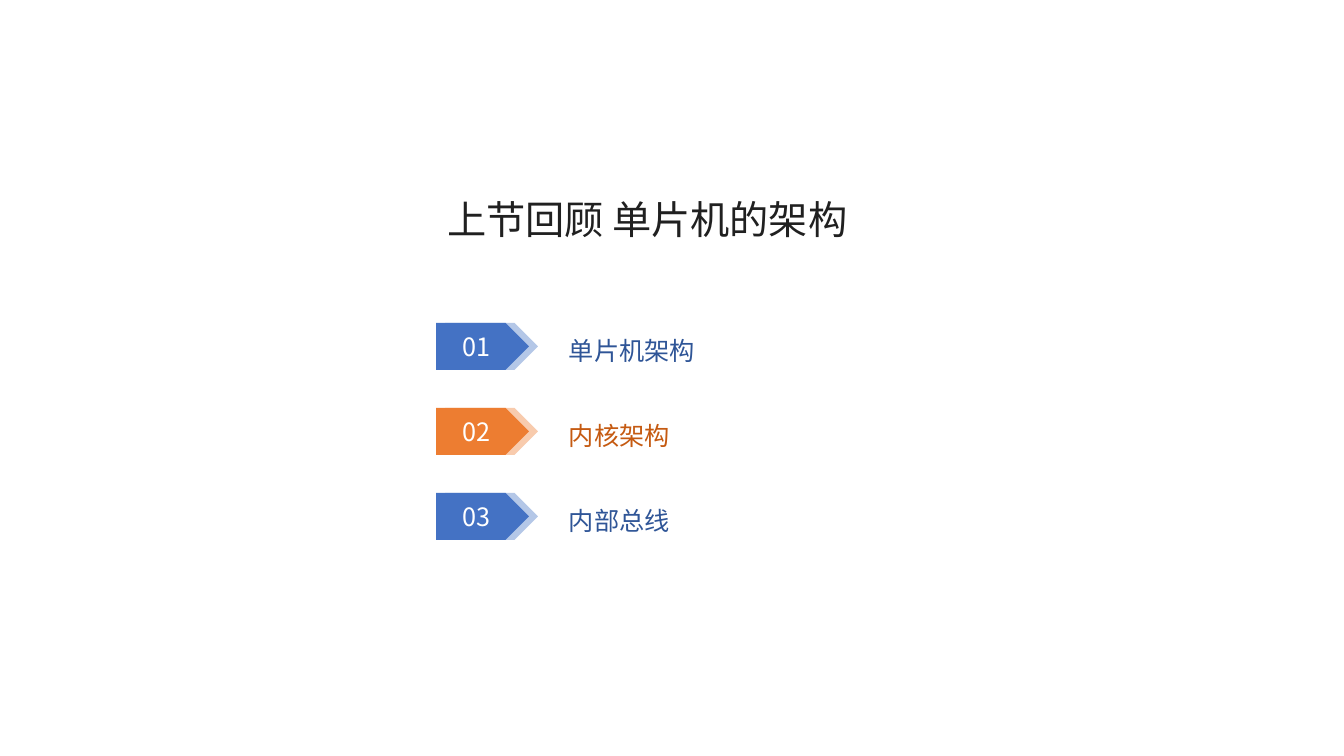
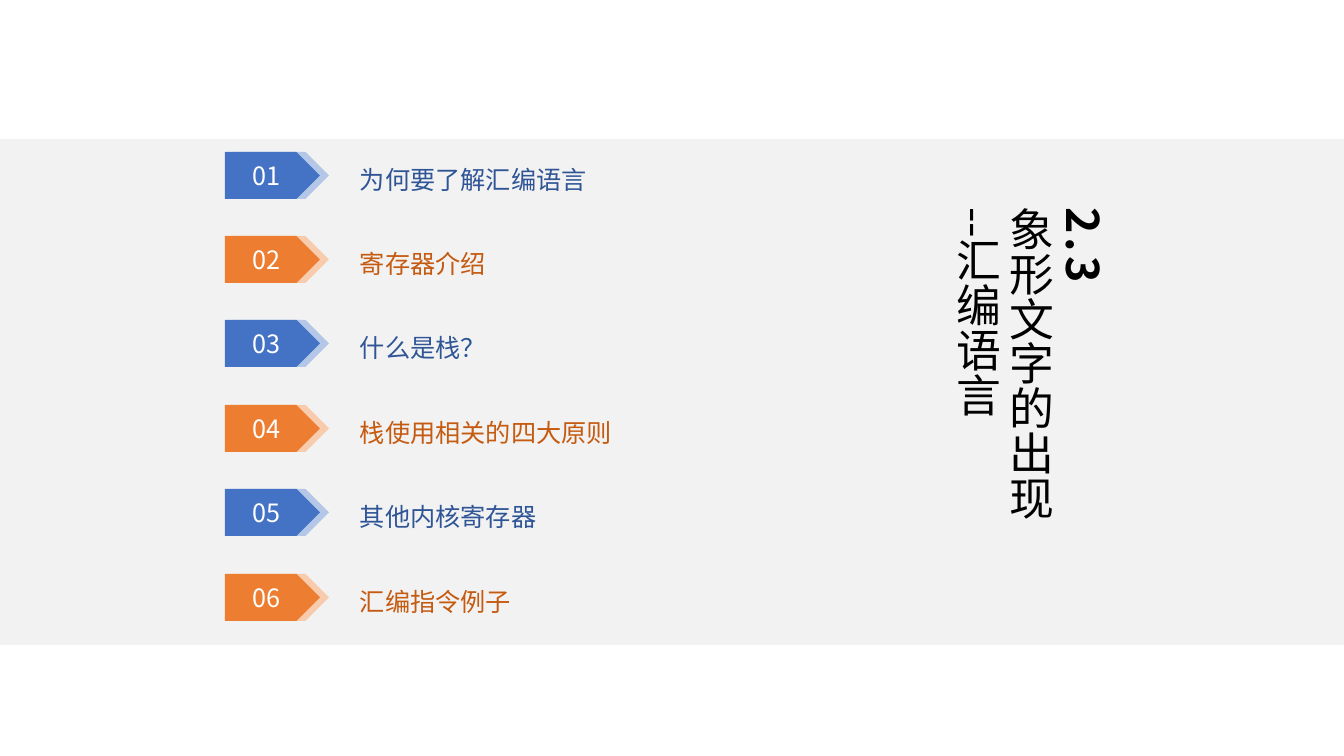
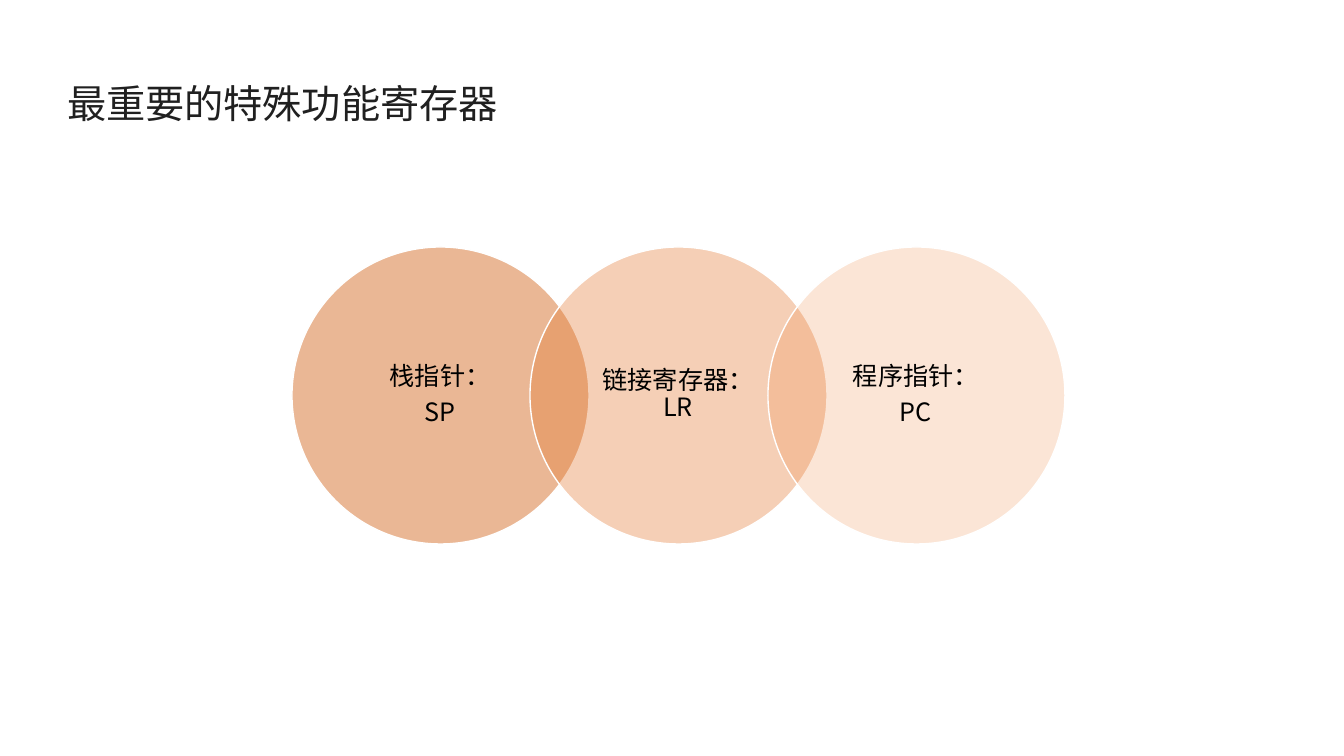
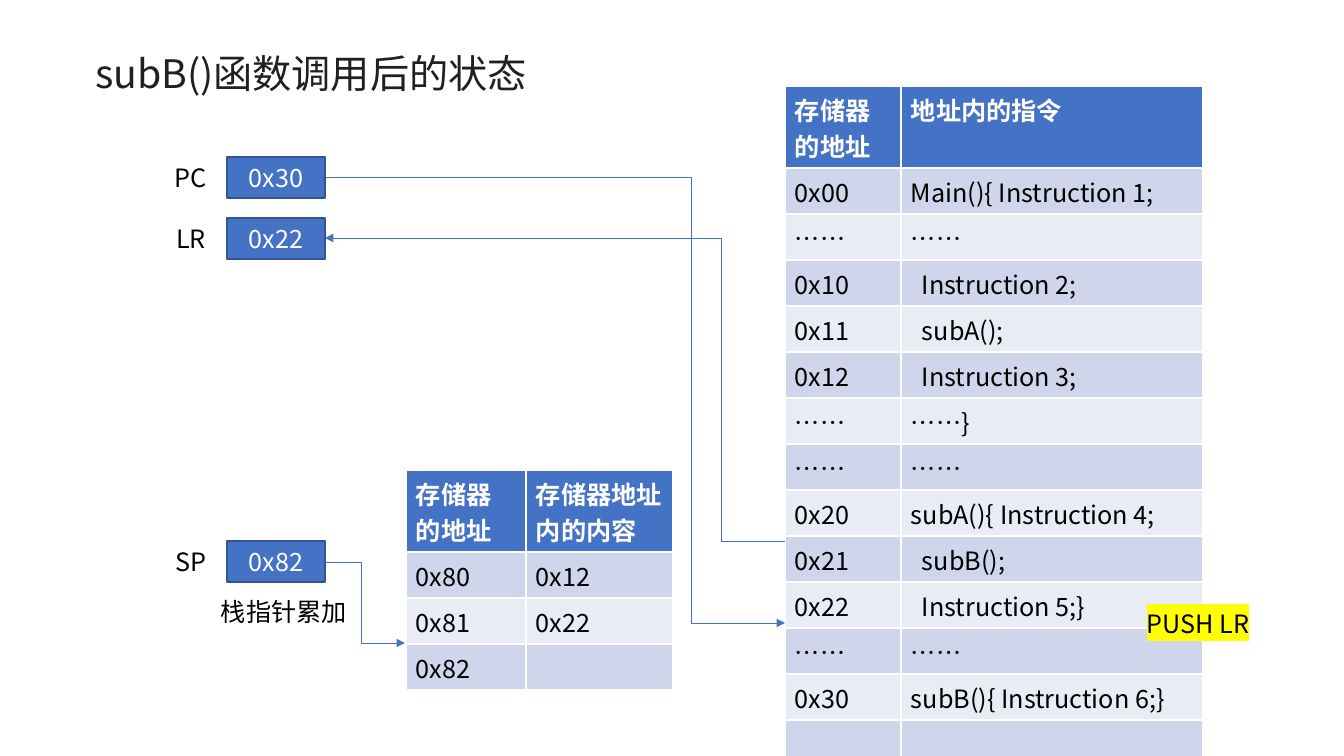
"""Build four slides on microcontroller architecture and assembly language."""
from lxml.etree import SubElement
from pptx import Presentation
from pptx.dml.color import RGBColor
from pptx.enum.shapes import MSO_CONNECTOR, MSO_SHAPE as SHAPE
from pptx.enum.text import MSO_ANCHOR as ANCHOR, MSO_AUTO_SIZE, PP_ALIGN as ALIGN
from pptx.oxml.ns import qn
from pptx.util import Pt

PX = 9071
FONT = "Noto Sans CJK SC"
BLACK, WHITE, INK = "000000", "FFFFFF", "202020"
BLUE, BLUE_LIGHT, BLUE_DARK = "4472C4", "B4C7E7", "2F5597"
ORANGE, ORANGE_LIGHT, ORANGE_DARK = "ED7D31", "F8CBAD", "C55A11"
ROW_FILLS = ["E9EBF5", "CFD5EA"]
rgb = RGBColor.from_string


def write(para, text, color, size=18, bold=False, align=ALIGN.LEFT):
    """Add one formatted run to a paragraph."""
    para.alignment = align
    span = para.add_run()
    span.text = text
    span.font.name = FONT
    span.font.size = Pt(size)
    span.font.bold = bold
    span.font.color.rgb = rgb(color)
    props = span.font._element
    SubElement(props, qn("a:ea")).set("typeface", FONT)
    return props


def add_panel(shapes, kind, x, y, w, h, fill):
    """Add a flat filled shape without outline."""
    panel = shapes.add_shape(kind, x * PX, y * PX, w * PX, h * PX)
    panel.shadow.inherit = False
    panel.fill.solid()
    panel.fill.fore_color.rgb = rgb(fill)
    panel.line.fill.background()
    panel.text_frame.vertical_anchor = ANCHOR.MIDDLE
    return panel


deck = Presentation()
deck.slide_width, deck.slide_height = 1344 * PX, 756 * PX

pages = []
for x, y, w, h, heading in [
    (437, 168, 591, 108, "上节回顾 单片机的架构"),
    (940, 202, 225, 370, ""),
    (57, 49, 656, 114, "最重要的特殊功能寄存器"),
    (85, 38, 656, 76, "subB()函数调用后的状态"),
]:
    page = deck.slides.add_slide(deck.slide_layouts[5])
    pages.append(page)
    title = page.shapes.title
    title.left, title.top, title.width, title.height = x * PX, y * PX, w * PX, h * PX
    frame = title.text_frame
    frame.word_wrap = True
    frame.auto_size = MSO_AUTO_SIZE.NONE
    frame.vertical_anchor = ANCHOR.MIDDLE
    if heading:
        para = frame.paragraphs[0]
        para.line_spacing = 0.9
        para.space_before = Pt(10)
        write(para, heading, INK, 28)

review, chapter, registers, call_state = pages

title = chapter.shapes.title
band = add_panel(chapter.shapes, SHAPE.RECTANGLE, 0, 139, 1344, 506, "F2F2F2")
title._element.addprevious(band._element)
title._element.txBody.bodyPr.set("vert", "eaVert")
frame = title.text_frame
frame.vertical_anchor = ANCHOR.BOTTOM
write(frame.paragraphs[0], "2.3", BLACK, 32, True).set("spc", "300")
para = frame.add_paragraph()
write(para, "象形文字的出现", BLACK, 32)
para.add_line_break()
write(para, "--汇编语言", BLACK, 32)

for page, left, label_left, first, last, width, labels in [
    (review, 436, 569, 323, 493, 93, ["单片机架构", "内核架构", "内部总线"]),
    (chapter, 225, 360, 152, 574, 95,
     ["为何要了解汇编语言", "寄存器介绍", "什么是栈？", "栈使用相关的四大原则",
      "其他内核寄存器", "汇编指令例子"]),
]:
    for i, label in enumerate(labels):
        top = first + i * (last - first) // (len(labels) - 1)
        fill, light, dark = [(BLUE, BLUE_LIGHT, BLUE_DARK),
                             (ORANGE, ORANGE_LIGHT, ORANGE_DARK)][i % 2]
        shapes = page.shapes.add_group_shape().shapes
        add_panel(shapes, SHAPE.PENTAGON, left + 9, top, width, 47, light)
        tag = add_panel(shapes, SHAPE.PENTAGON, left, top, width, 47, fill)
        write(tag.text_frame.paragraphs[0], f"{i + 1:02}", WHITE, align=ALIGN.CENTER)
        box = shapes.add_textbox(label_left * PX, (top - 13) * PX, 580 * PX, 72 * PX)
        frame = box.text_frame
        frame.word_wrap = True
        frame.vertical_anchor = ANCHOR.MIDDLE
        frame.margin_left = frame.margin_right = frame.margin_top = frame.margin_bottom = 0
        frame.paragraphs[0].line_spacing = 1.3
        write(frame.paragraphs[0], label, dark)

for i, (fill, opacity, lines) in enumerate([
    ("D7712C", 50, ["栈指针：", "SP"]),
    ("E3782F", 35, ["链接寄存器：LR"]),
    ("ED7E32", 20, ["程序指针：", "PC"]),
]):
    left = 292 + i * 238
    shapes = registers.shapes.add_group_shape().shapes
    circle = add_panel(shapes, SHAPE.OVAL, left, 247, 297, 297, fill)
    circle.line.color.rgb = rgb(WHITE)
    circle.line.width = Pt(1)
    tint = circle._element.spPr.find(qn("a:solidFill"))[0]
    SubElement(tint, qn("a:alpha")).set("val", str(opacity * 1000))
    box = shapes.add_textbox((left + 43) * PX, 290 * PX, 210 * PX, 210 * PX)
    frame = box.text_frame
    frame.word_wrap = True
    frame.vertical_anchor = ANCHOR.MIDDLE
    frame.margin_left = frame.margin_right = 16 * PX
    frame.margin_top = frame.margin_bottom = 3 * PX
    for n, text in enumerate(lines):
        para = frame.add_paragraph() if n else frame.paragraphs[0]
        para.line_spacing = 0.9
        para.space_after = Pt(6.3)
        write(para, text, BLACK, align=ALIGN.CENTER)

shapes = call_state.shapes
for name, value, top in [("PC", "0x30", 157), ("LR", "0x22", 218), ("SP", "0x82", 541)]:
    register = add_panel(shapes, SHAPE.RECTANGLE, 227, top, 98, 41, BLUE)
    register.line.color.rgb = rgb("325491")
    register.line.width = Pt(1)
    write(register.text_frame.paragraphs[0], value, WHITE, align=ALIGN.CENTER)
    box = shapes.add_textbox(164 * PX, top * PX, 54 * PX, 41 * PX)
    box.text_frame.word_wrap = True
    write(box.text_frame.paragraphs[0], name, BLACK, align=ALIGN.CENTER)

function_body = ["Instruction 2;", "subA();", "Instruction 3;", "subB();", "Instruction 5;}"]
program = [
    ("存储器的地址", "地址内的指令"),
    ("0x00", "Main(){ Instruction 1;"),
    ("……", "……"),
    ("0x10", "Instruction 2;"),
    ("0x11", "subA();"),
    ("0x12", "Instruction 3;"),
    ("……", "……}"),
    ("……", "……"),
    ("0x20", "subA(){ Instruction 4;"),
    ("0x21", "subB();"),
    ("0x22", "Instruction 5;}"),
    ("……", "……"),
    ("0x30", "subB(){ Instruction 6;}"),
    ("", ""),
]
stack = [("存储器的地址", "存储器地址内的内容"), ("0x80", "0x12"), ("0x81", "0x22"), ("0x82", "")]
for left, top, widths, rows in [(785, 86, (116, 302), program), (406, 470, (120, 147), stack)]:
    height = 82 + 46 * (len(rows) - 1)
    table = shapes.add_table(len(rows), 2, left * PX, top * PX, sum(widths) * PX, height * PX).table
    for column, width in zip(table.columns, widths):
        column.width = width * PX
    for r, texts in enumerate(rows):
        table.rows[r].height = (46 if r else 82) * PX
        for c, text in enumerate(texts):
            cell = table.cell(r, c)
            cell.fill.solid()
            cell.fill.fore_color.rgb = rgb(ROW_FILLS[r % 2] if r else BLUE)
            cell.margin_left = (21 if text in function_body else 10) * PX
            if text:
                write(cell.text_frame.paragraphs[0], text, BLACK if r else WHITE, bold=r == 0)

for x1, y1, x2, y2, bend in [
    (325, 177, 785, 623, 691),
    (785, 541, 325, 238, 721),
    (325, 562, 405, 643, 361),
]:
    arrow = shapes.add_connector(MSO_CONNECTOR.ELBOW, x1 * PX, y1 * PX, x2 * PX, y2 * PX)
    arrow.line.color.rgb = rgb(BLUE)
    arrow.line.width = Pt(0.5)
    props = arrow._element.spPr
    guide = SubElement(props.find(qn("a:prstGeom")).find(qn("a:avLst")), qn("a:gd"))
    guide.set("name", "adj1")
    guide.set("fmla", f"val {round((bend - x1) / (x2 - x1) * 100000)}")
    SubElement(props.find(qn("a:ln")), qn("a:tailEnd")).set("type", "triangle")
    SubElement(props, qn("a:effectLst"))

for x, y, w, text, mark in [(1137, 603, 132, "PUSH LR", "FFFF00"), (211, 591, 150, "栈指针累加", "")]:
    box = shapes.add_textbox(x * PX, y * PX, w * PX, 41 * PX)
    box.text_frame.word_wrap = True
    props = write(box.text_frame.paragraphs[0], text, BLACK)
    if mark:
        highlight = SubElement(props, qn("a:highlight"))
        SubElement(highlight, qn("a:srgbClr")).set("val", mark)
        props.find(qn("a:solidFill")).addnext(highlight)

deck.save("out.pptx")
